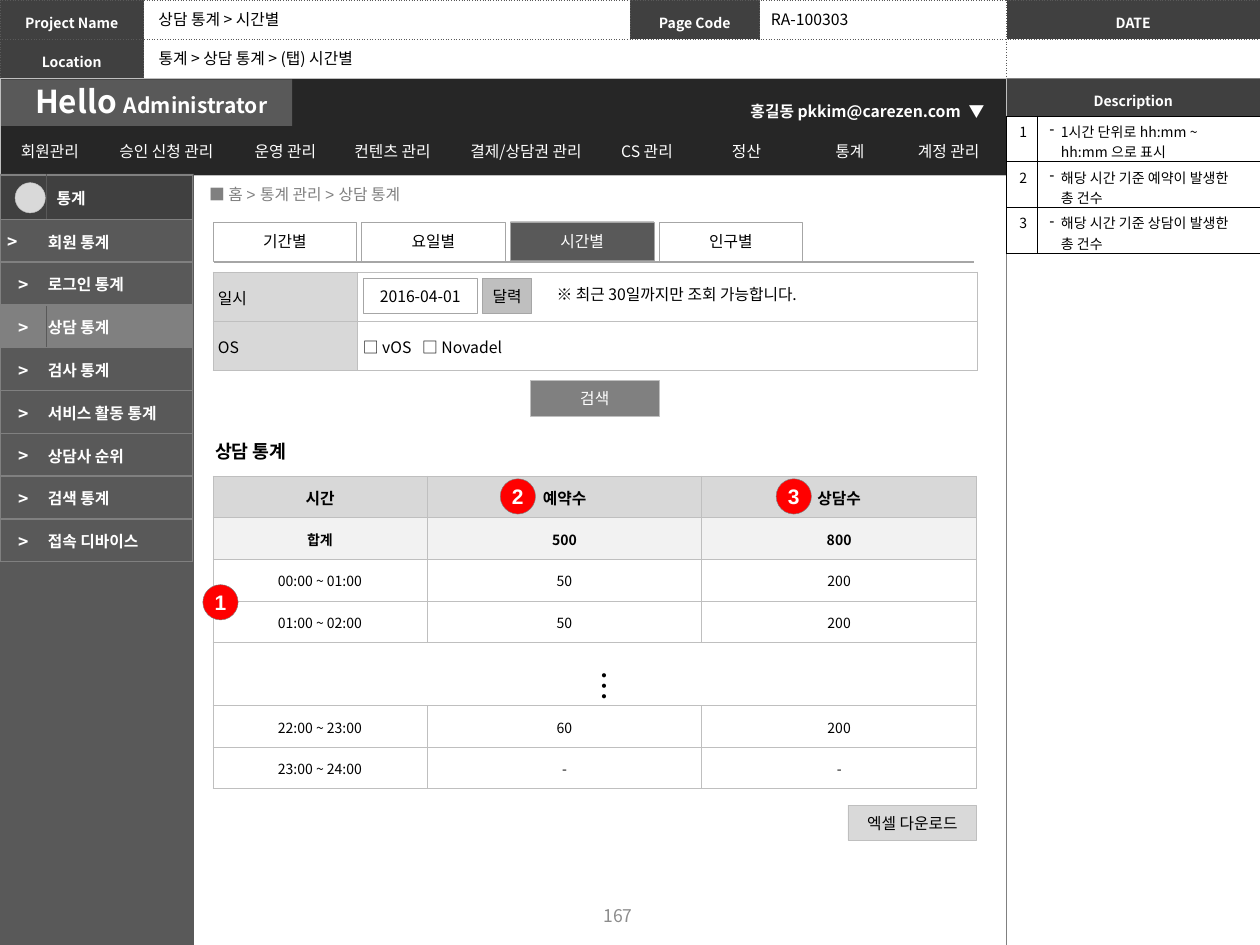
import lxml.etree
import pptx
import pptx.dml.color
import pptx.enum.shapes
import pptx.enum.text
import pptx.oxml.ns
import pptx.util
from pptx.util import Inches

qn = pptx.oxml.ns.qn
RGB = pptx.dml.color.RGBColor.from_string
SHAPE = pptx.enum.shapes.MSO_SHAPE
MIDDLE = pptx.enum.text.MSO_ANCHOR.MIDDLE
TOP = pptx.enum.text.MSO_ANCHOR.TOP
ALIGN = pptx.enum.text.PP_ALIGN
FONT = "Noto Sans CJK KR"
COLORS = {
    "black": "000000", "white": "FFFFFF", "bar": "262626", "dark": "404040",
    "slate": "595959", "gray": "808080", "page": "8C8C8C", "edge": "A6A6A6",
    "silver": "BFBFBF", "head": "D8D8D8", "light": "D9D9D9", "total": "F2F2F2",
    "red": "FF0000",
}


def write(holder, text, size=9, color="black", bold=False, align=ALIGN.CENTER,
          spacing=None, font=FONT):
    """Put one formatted paragraph into a shape or table cell."""
    paragraph = holder.text_frame.paragraphs[0]
    paragraph.text = text
    paragraph.alignment = align
    paragraph.line_spacing = spacing
    paragraph.font.name = font
    paragraph.font.size = pptx.util.Pt(size)
    paragraph.font.bold = bold
    paragraph.font.color.rgb = RGB(COLORS[color])
    defaults = paragraph._p.pPr.find(qn("a:defRPr"))
    lxml.etree.SubElement(defaults, qn("a:ea"), typeface=FONT)
    if not text:
        lxml.etree.SubElement(paragraph._p, qn("a:endParaRPr"), sz=str(size * 100))
    return paragraph


def add_grid(left, top, widths, heights, line, points, margins=(0.01, 0.01, 0.01, 0),
             dash="solid", divider=None):
    """Add an unfilled table with ruled cells; divider colours the inner uprights."""
    table = slide.shapes.add_table(
        len(heights), len(widths), Inches(left), Inches(top),
        Inches(sum(widths)), Inches(sum(heights))).table
    table.first_row = table.horz_banding = False
    for column, width in zip(table.columns, widths):
        column.width = Inches(width)
    for row, height in zip(table.rows, heights):
        row.height = Inches(height)
        for index, cell in enumerate(row.cells):
            cell.margin_left, cell.margin_top, cell.margin_right, cell.margin_bottom = map(Inches, margins)
            cell.vertical_anchor = MIDDLE
            inner = {"lnL": index > 0, "lnR": index < len(widths) - 1}
            properties = cell._tc.get_or_add_tcPr()
            for side in ("lnL", "lnR", "lnT", "lnB"):
                color = divider if divider and inner.get(side) else line
                edge = lxml.etree.SubElement(properties, qn("a:" + side), w=str(int(points * 12700)))
                fill = lxml.etree.SubElement(edge, qn("a:solidFill"))
                lxml.etree.SubElement(fill, qn("a:srgbClr"), val=COLORS[color])
                lxml.etree.SubElement(edge, qn("a:prstDash"), val=dash)
            cell.fill.background()
            write(cell, "", 8)
    return table


presentation = pptx.Presentation()
presentation.slide_width, presentation.slide_height = Inches(10), Inches(7.5)
slide = presentation.slides.add_slide(presentation.slide_layouts[5])

# Breadcrumb title
title = slide.shapes.title
title.left, title.top, title.width, title.height = map(Inches, (1.46, 1.37, 6.22, 0.34))
title.text_frame.margin_left = Inches(0.2)
title.text_frame.auto_size = pptx.enum.text.MSO_AUTO_SIZE.NONE
title.text_frame.vertical_anchor = MIDDLE
write(title, "■ 홈 > 통계 관리 > 상담 통계", color="gray", align=ALIGN.LEFT, font="Arial")

# Document header and description frame
header = add_grid(0, 0, [1.14, 3.86, 1.03, 1.96, 2.01], [0.31, 0.31], "slate", 0.5,
                  (0.04,) * 4, "sysDot")
header.cell(1, 1).merge(header.cell(1, 3))
description = add_grid(7.99, 0.62, [2.01], [0.31, 6.57], "gray", 0.5, (0.08, 0.04, 0.08, 0.04))
for cell, label in [(header.cell(0, 0), "Project Name"), (header.cell(0, 2), "Page Code"),
                    (header.cell(0, 4), "DATE"), (header.cell(1, 0), "Location"),
                    (description.cell(0, 0), "Description")]:
    cell.fill.solid()
    cell.fill.fore_color.rgb = RGB(COLORS["dark"])
    write(cell, label, 8, "white", True, spacing=1.3)

# Plain panels and labelled boxes: place, fill, line, label, label colour
TAB_LEFT, TAB_PITCH = 1.69, 1.18
boxes = [
    ((0, 0.62, 7.99, 0.77), "bar", "silver", "", "white"),
    ((0.01, 0.63, 2.31, 0.37), "slate", None, "", "white"),
    ((0, 1.38, 1.54, 6.12), "slate", None, "", "white"),
    ((2.88, 2.21, 0.91, 0.28), "white", "edge", "2016-04-01", "black"),
    ((3.83, 2.21, 0.39, 0.28), "silver", "edge", "달력", "black"),
    ((4.21, 3.02, 1.02, 0.28), "gray", "silver", "검색", "white"),
    ((6.73, 6.39, 1.02, 0.28), "light", "silver", "엑셀 다운로드", "black"),
]
for index, label in enumerate(["기간별", "요일별", "시간별", "인구별"]):
    fill, ink = ("slate", "white") if label == "시간별" else ("white", "black")
    boxes.append(((TAB_LEFT + index * TAB_PITCH, 1.76, 1.14, 0.31), fill, "edge", label, ink))
for place, fill, line, label, ink in boxes:
    box = slide.shapes.add_shape(SHAPE.RECTANGLE, *map(Inches, place))
    box.shadow.inherit = False
    box.fill.solid()
    box.fill.fore_color.rgb = RGB(COLORS[fill])
    if line:
        box.line.color.rgb = RGB(COLORS[line])
        box.line.width = pptx.util.Pt(0.25)
    else:
        box.line.fill.background()
    if label:
        box.text_frame.word_wrap = False
        box.text_frame.vertical_anchor = MIDDLE
        write(box, label, color=ink)

tab_rule = slide.shapes.add_connector(pptx.enum.shapes.MSO_CONNECTOR.STRAIGHT,
                                      Inches(1.7), Inches(2.08), Inches(7.73), Inches(2.08))
tab_rule.line.color.rgb = RGB(COLORS["edge"])
tab_rule.line.width = pptx.util.Pt(0.75)
lxml.etree.SubElement(tab_rule._element.spPr, qn("a:effectLst"))

# Top menu
menu = ["회원관리", "승인 신청 관리", "운영 관리", "컨텐츠 관리", "결제/상담권 관리",
        "CS 관리", "정산", "통계", "계정 관리"]
menu_bar = add_grid(0.02, 1.04, [0.75, 1.1, 0.79, 0.91, 1.21, 0.71, 0.87, 0.77, 0.8], [0.31],
                    "bar", 1, (0.1, 0.05, 0.1, 0.05))
for cell, label in zip(menu_bar.rows[0].cells, menu):
    write(cell, label, color="white")

# Side menu
side_items = ["통계", "회원 통계", "로그인 통계", "상담 통계", "검사 통계", "서비스 활동 통계",
              "상담사 순위", "검색 통계", "접속 디바이스"]
side_menu = add_grid(0, 1.39, [0.37, 1.16], [0.35] + [0.34] * 8, "gray", 1, divider="slate")
for index, (row, label) in enumerate(zip(side_menu.rows, side_items)):
    marker, item = row.cells
    for cell in row.cells:
        cell.fill.solid()
        cell.fill.fore_color.rgb = RGB(COLORS[{0: "dark", 3: "gray"}.get(index, "slate")])
    write(marker, ">" if index else "", 10, "white", True)
    write(item, label, 9, "white", True, ALIGN.LEFT)
side_menu.cell(0, 1).margin_left = Inches(0.08)
side_menu.cell(1, 0).margin_right = Inches(0.18)

# Search conditions
conditions = add_grid(1.69, 2.16, [1.15, 4.92], [0.39, 0.39], "silver", 0.5, (0.04, 0.01, 0.01, 0))
for row, label in zip(conditions.rows, ["일시", "OS"]):
    row.cells[0].fill.solid()
    row.cells[0].fill.fore_color.rgb = RGB(COLORS["head"])
    write(row.cells[0], label, align=ALIGN.LEFT)
systems = write(conditions.cell(1, 1), "□ vOS\t□ Novadel", align=ALIGN.LEFT)
tab_stops = lxml.etree.Element(qn("a:tabLst"))
lxml.etree.SubElement(tab_stops, qn("a:tab"), pos=str(Inches(0.47)), algn="l")
systems._p.pPr.find(qn("a:defRPr")).addprevious(tab_stops)

# Hourly statistics
hourly = [("시간", "예약수", "상담수"), ("합계", "500", "800"),
          ("00:00 ~ 01:00", "50", "200"), ("01:00 ~ 02:00", "50", "200"), ("", "", ""),
          ("22:00 ~ 23:00", "60", "200"), ("23:00 ~ 24:00", "-", "-")]
statistics = add_grid(1.69, 3.78, [1.7, 2.18, 2.18], [0.33] * 4 + [0.5] + [0.33] * 2, "silver", 0.5)
for index, (row, values) in enumerate(zip(statistics.rows, hourly)):
    for cell, value in zip(row.cells, values):
        cell.fill.solid()
        cell.fill.fore_color.rgb = RGB(COLORS[{0: "head", 1: "total"}.get(index, "white")])
        if value:
            write(cell, value, 8 if index else 9, bold=index < 2)
statistics.cell(4, 0).merge(statistics.cell(4, 2))

# Description notes
notes = ["1시간 단위로 hh:mm ~ hh:mm 으로 표시", "해당 시간 기준 예약이 발생한 총 건수",
         "해당 시간 기준 상담이 발생한 총 건수"]
note_list = add_grid(7.99, 0.92, [0.24, 1.77], [0.36] * 3, "black", 0.5, (0.1, 0.04, 0.1, 0))
for number, (row, note) in enumerate(zip(note_list.rows, notes), 1):
    for cell, text in zip(row.cells, (str(number), note)):
        cell.vertical_anchor = TOP
        cell.fill.solid()
        cell.fill.fore_color.rgb = RGB(COLORS["white"])
        line = write(cell, text, 8, align=ALIGN.LEFT)
    row.cells[0].margin_right = 0
    row.cells[1].margin_right = Inches(0.2)
    line._p.pPr.set("marL", str(Inches(0.09)))
    line._p.pPr.set("indent", str(Inches(-0.09)))
    bullet = lxml.etree.Element(qn("a:buChar"), char="-")
    line._p.pPr.find(qn("a:defRPr")).addprevious(bullet)

# Free-standing texts: place, text, size, colour, bold, alignment, line spacing
captions = [
    ((1.16, 0.03, 1.3, 0.25), "상담 통계 > 시간별", 9, "black", False, ALIGN.LEFT, None),
    ((1.16, 0.34, 1.98, 0.25), "통계 > 상담 통계 > (탭) 시간별", 9, "black", False, ALIGN.LEFT, None),
    ((6.02, 0.03, 0.83, 0.25), "RA-100303", 9, "black", False, ALIGN.LEFT, None),
    ((5.82, 0.73, 1.94, 0.26), "홍길동 pkkim@carezen.com", 9, "white", True, ALIGN.CENTER, 1.2),
    ((7.59, 0.73, 0.33, 0.26), "▼", 9, "white", True, ALIGN.LEFT, 1.2),
    ((1.61, 3.44, 0.9, 0.28), "상담 통계", 10.5, "black", True, ALIGN.LEFT, None),
    ((4.32, 2.21, 2.33, 0.25), "※ 최근 30일까지만 조회 가능합니다.", 9, "black", False, ALIGN.LEFT, None),
    ((3.74, 7.13, 2.33, 0.3), "167", 10, "page", False, ALIGN.CENTER, None),
    ((4.5, 5.22, 0.5, 0.29), "…", 18, "black", False, ALIGN.LEFT, None),
    ((0.18, 0.6, 2.09, 0.4), "Hello ", 18, "white", True, ALIGN.LEFT, None),
]
for place, *wording in captions:
    caption = slide.shapes.add_textbox(*map(Inches, place))
    caption.text_frame.word_wrap = False
    greeting = write(caption, *wording)
    if wording[0] == "…":
        caption.text_frame._txBody.bodyPr.set("vert", "eaVert")
role = greeting.add_run()
role.text = "Administrator"
role.font.size = pptx.util.Pt(12)

# Numbered badges and the side menu icon
for left, top, size, fill, line, number in [
        (0.12, 1.45, 0.24, "light", "silver", ""), (1.61, 4.64, 0.28, "red", "gray", "1"),
        (3.97, 3.8, 0.28, "red", "gray", "2"), (6.16, 3.8, 0.28, "red", "gray", "3")]:
    badge = slide.shapes.add_shape(SHAPE.OVAL, *map(Inches, (left, top, size, size)))
    badge.shadow.inherit = False
    badge.fill.solid()
    badge.fill.fore_color.rgb = RGB(COLORS[fill])
    badge.line.color.rgb = RGB(COLORS[line])
    badge.line.width = pptx.util.Pt(0.25)
    badge.text_frame.word_wrap = False
    badge.text_frame.vertical_anchor = MIDDLE
    if number:
        write(badge, number, 12, "white", True, font="Arial")

presentation.save("out.pptx")
